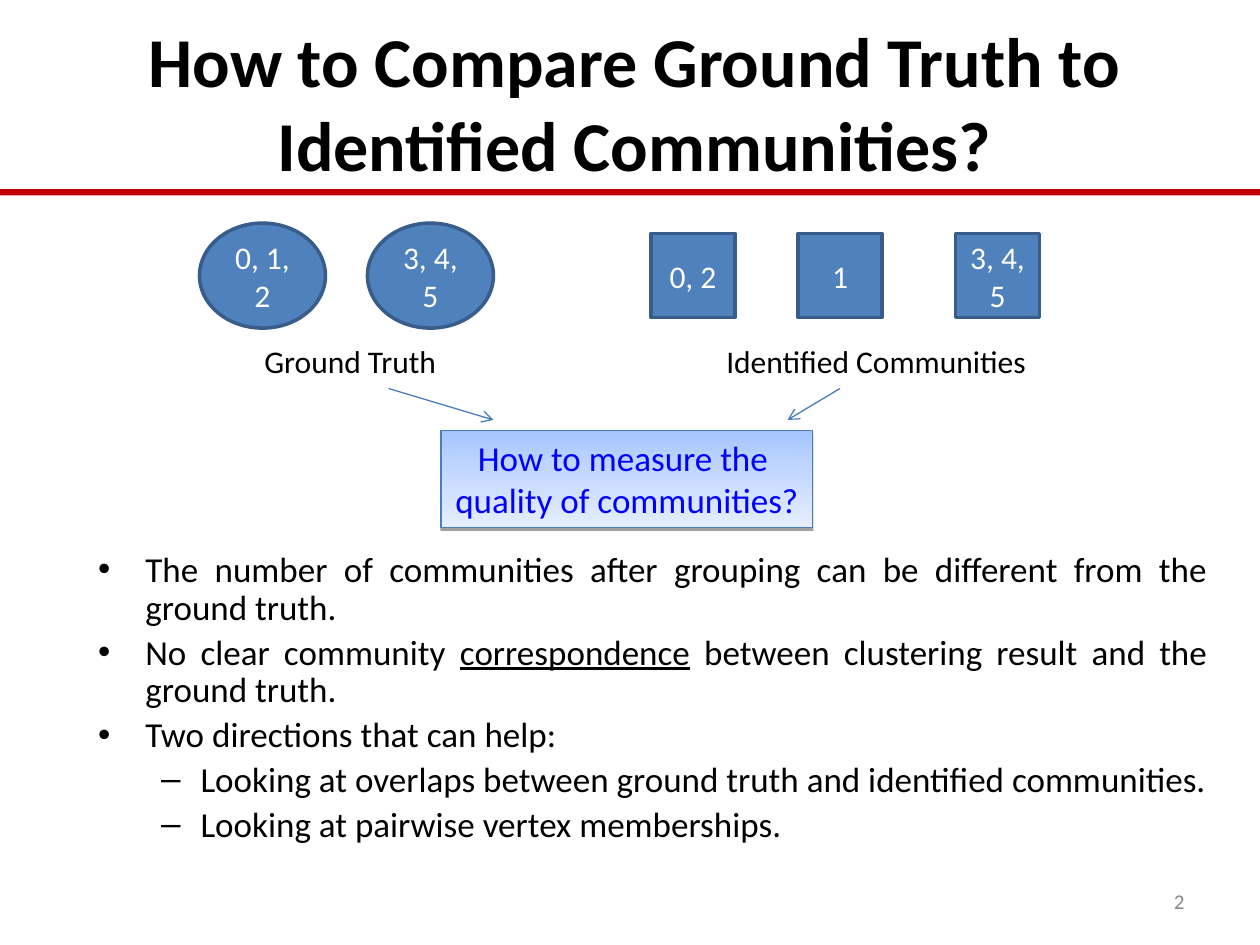
"""Build the slide on comparing ground truth with identified communities."""
from lxml import etree
from pptx import Presentation
from pptx.dml.color import RGBColor
from pptx.enum.shapes import MSO_CONNECTOR as Connector, MSO_SHAPE as Shape
from pptx.enum.text import MSO_ANCHOR as Anchor, MSO_AUTO_SIZE as AutoSize, PP_ALIGN as Align
from pptx.oxml import parse_xml
from pptx.oxml.ns import qn
from pptx.util import Pt

NAMESPACE = 'xmlns:a="http://schemas.openxmlformats.org/drawingml/2006/main"'
COLORS = {
    "text": "000000", "white": "FFFFFF", "rule": "C00000", "group": "4F81BD",
    "outline": "385D8A", "accent": "4A7EBB", "question": "0000FF", "number": "898989",
}
GRADIENT = [(0, "A3C4FF"), (35, "BFD5FF"), (100, "E5EEFF")]


class SlideBuilder:
    """Holds the style and the current slide."""

    font = "Calibri"

    def __init__(self, deck):
        self.page = deck.slides.add_slide(deck.slide_layouts[5])

    def color(self, name):
        return RGBColor.from_string(COLORS[name])

    def style(self, para, size, color="text", align=Align.LEFT, bold=False):
        para.alignment = align
        para.font.name, para.font.size, para.font.bold = self.font, Pt(size), bold
        para.font.color.rgb = self.color(color)

    def set_text(self, box, lines, size, color="text", align=Align.LEFT,
                 anchor=Anchor.TOP, wrap=True, bold=False):
        frame = box.text_frame
        frame.text = "\n".join(lines)
        frame.word_wrap, frame.vertical_anchor = wrap, anchor
        frame.auto_size = AutoSize.NONE if wrap else AutoSize.SHAPE_TO_FIT_TEXT
        for para in frame.paragraphs:
            self.style(para, size, color, align, bold)

    def title(self, place, text):
        box = self.page.shapes.title
        box.left, box.top, box.width, box.height = map(Pt, place)
        self.set_text(box, [text], 40, align=Align.CENTER, anchor=Anchor.MIDDLE, bold=True)

    def text(self, place, text, size, **options):
        box = self.page.shapes.add_textbox(*map(Pt, place))
        self.set_text(box, [text], size, **options)

    def shape(self, kind, place, fill, line=None, width=2):
        shape = self.page.shapes.add_shape(kind, *map(Pt, place))
        shape.shadow.inherit = False
        shape.fill.solid()
        shape.fill.fore_color.rgb = self.color(fill)
        if line:
            shape.line.color.rgb, shape.line.width = self.color(line), Pt(width)
        else:
            shape.line.fill.background()
        return shape

    def group(self, kind, place, members):
        shape = self.shape(kind, place, "group", "outline")
        self.set_text(shape, [members], 18, "white", Align.CENTER, Anchor.MIDDLE)

    def question(self, place, lines):
        shape = self.shape(Shape.RECTANGLE, place, "white", "accent", 0.75)
        stops = "".join(f'<a:gs pos="{pos * 1000}"><a:srgbClr val="{color}"/></a:gs>'
                        for pos, color in GRADIENT)
        properties = shape.element.spPr
        properties.replace(properties.find(qn("a:solidFill")), parse_xml(
            f'<a:gradFill {NAMESPACE} rotWithShape="1"><a:gsLst>{stops}</a:gsLst>'
            '<a:lin ang="5400000" scaled="0"/></a:gradFill>'))
        properties.find(qn("a:effectLst")).append(parse_xml(
            f'<a:outerShdw {NAMESPACE} blurRad="0" dist="{Pt(1.6)}" dir="5400000" rotWithShape="0">'
            '<a:srgbClr val="000000"><a:alpha val="37000"/></a:srgbClr></a:outerShdw>'))
        self.set_text(shape, lines, 20, "question", Align.CENTER, wrap=False)

    def arrow(self, *ends):
        arrow = self.page.shapes.add_connector(Connector.STRAIGHT, *map(Pt, ends))
        arrow.line.color.rgb, arrow.line.width = self.color("accent"), Pt(0.75)
        properties = arrow.element.spPr
        etree.SubElement(properties.find(qn("a:ln")), qn("a:tailEnd"), type="arrow")
        etree.SubElement(properties, qn("a:effectLst"))

    def bullets(self, place, items):
        frame = self.page.shapes.add_textbox(*map(Pt, place)).text_frame
        frame.word_wrap = True
        for index, (level, spans) in enumerate(items):
            para = frame.add_paragraph() if index else frame.paragraphs[0]
            for position, words in enumerate(spans):
                span = para.add_run()
                span.text = words
                if position % 2:
                    span.font.underline = True
            self.style(para, 20, align=Align.JUSTIFY)
            para.level, para.line_spacing, para.space_before = level, 0.9, Pt(4)
            margin, hanging, mark = [(27, 27, "•"), (58.5, 22.5, "–")][level]
            properties = para._p.get_or_add_pPr()
            properties.set("marL", str(Pt(margin)))
            properties.set("indent", str(-Pt(hanging)))
            for bullet in (f'buFont {NAMESPACE} typeface="Arial"',
                           f'buChar {NAMESPACE} char="{mark}"'):
                properties.insert_element_before(parse_xml(f"<a:{bullet}/>"), "a:defRPr")


deck = Presentation()
deck.slide_width, deck.slide_height = Pt(720), Pt(540)
slide = SlideBuilder(deck)

slide.shape(Shape.RECTANGLE, (0, 108, 720, 3.6), "rule")
slide.title((5, 13, 715, 90), "How to Compare Ground Truth to Identified Communities?")
slide.bullets((49, 312, 648, 152.5), [
    (0, ["The number of communities after grouping can be different from the ground truth."]),
    (0, ["No clear community ", "correspondence",
         " between clustering result and the ground truth."]),
    (0, ["Two directions that can help:"]),
    (1, ["Looking at overlaps between ground truth and identified communities."]),
    (1, ["Looking at pairwise vertex memberships."]),
])

for left, members in [(114, "0, 1, 2"), (210, "3, 4, 5")]:
    slide.group(Shape.OVAL, (left, 127.5, 72, 60), members)
for left, members in [(372, "0, 2"), (456, "1"), (546, "3, 4, 5")]:
    slide.group(Shape.RECTANGLE, (left, 133.5, 48, 48), members)
for left, width, label in [(144, 113.5, "Ground Truth"), (408, 188, "Identified Communities")]:
    slide.text((left, 192, width, 29), label, 18, wrap=False)

slide.question((252, 246, 212.5, 55.5), ["How to measure the ", "quality of communities?"])
for start, end in [(222, 282), (480, 450)]:
    slide.arrow(start, 222, end, 240)
slide.text((516, 500.5, 168, 28.75), "2", 12, color="number",
           align=Align.RIGHT, anchor=Anchor.MIDDLE)

deck.save("out.pptx")
